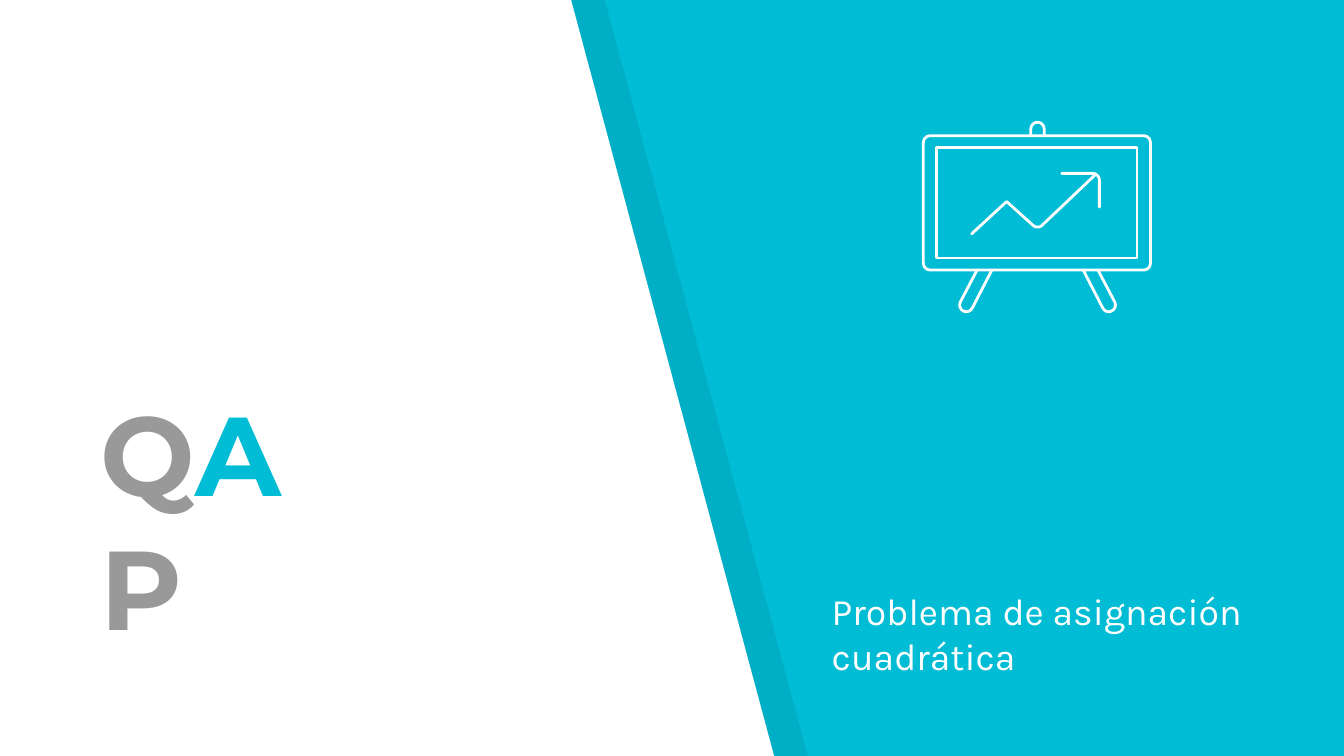
import math

import pptx
import pptx.dml.color
import pptx.enum.shapes
import pptx.enum.text
import pptx.oxml
import pptx.util

Inches = pptx.util.Inches
RGBColor = pptx.dml.color.RGBColor
SHAPE = pptx.enum.shapes.MSO_SHAPE
ANCHOR = pptx.enum.text.MSO_ANCHOR

CYAN = RGBColor(0x00, 0xBC, 0xD4)
WHITE = RGBColor(0xFF, 0xFF, 0xFF)
BLACK = RGBColor(0x00, 0x00, 0x00)
GREY = RGBColor(0x99, 0x99, 0x99)

WIDE = 10
HIGH = WIDE * 9 / 16
SLANT = 1.51
MID = 7.72  # centre line of the board
BEND = 0.05  # radius of every round corner


def assign(target, values):
    for name, value in values.items():
        setattr(target, name, value)


def add_node(parent, tag, **attrs):
    node = pptx.oxml.parse_xml(
        f'<a:{tag} xmlns:a="http://schemas.openxmlformats.org/drawingml/2006/main"/>'
    )
    for name, value in attrs.items():
        node.set(name, value)
    parent.append(node)


def arc(x, y, start, end, steps=8):
    """Points of a round corner about (x, y); angles in degrees, clockwise."""
    turns = [math.radians(start + (end - start) * i / steps) for i in range(steps + 1)]
    return [(x + BEND * math.cos(t), y + BEND * math.sin(t)) for t in turns]


def flip(points):
    return [(2 * MID - x, y) for x, y in points]


def draw_path(shapes, points, close=False):
    spots = [(Inches(x), Inches(y)) for x, y in points]
    pen = shapes.build_freeform(*spots[0], scale=1.0)
    pen.add_line_segments(spots[1:], close=close)
    shape = pen.convert_to_shape()
    shape.shadow.inherit = False
    return shape


def add_panel(slide, top, color, alpha=None):
    """Fill the slide from its left edge to a slanted right edge."""
    corners = [(0, 0), (0, HIGH), (top + SLANT, HIGH), (top, 0)]
    panel = draw_path(slide.shapes, corners, close=True)
    panel.line.fill.background()
    panel.fill.solid()
    panel.fill.fore_color.rgb = color
    if alpha is not None:
        tint = panel.fill._xPr.find(".//" + pptx.oxml.ns.qn("a:srgbClr"))
        add_node(tint, "alpha", val=str(alpha * 1000))


def outline(shape):
    shape.shadow.inherit = False
    shape.fill.background()
    shape.line.color.rgb = WHITE
    shape.line.width = pptx.util.Pt(1.5)
    stroke = shape.line._get_or_add_ln()
    stroke.set("cap", "rnd")
    add_node(stroke, "round")


def add_board(slide):
    group = slide.shapes.add_group_shape().shapes
    frame = group.add_shape(SHAPE.ROUNDED_RECTANGLE, *map(Inches, (6.87, 1.01, 1.69, 1)))
    frame.adjustments[0] = BEND
    outline(frame)
    outline(group.add_shape(SHAPE.RECTANGLE, *map(Inches, (6.97, 1.1, 1.49, 0.82))))

    clip = [(MID + BEND, 1.01), *arc(MID, 0.96, 0, -180), (MID - BEND, 1.01)]
    leg = [(7.27, 2.01), *arc(7.19, 2.27, 205, 25), (7.38, 2.01)]
    trend = [(8.15, 1.3), *arc(MID, 1.64, 45, 135), (7.49, 1.5), (7.23, 1.74)]
    tip = [(7.9, 1.29), *arc(8.13, 1.34, -90, 0), (8.18, 1.54)]
    for points in (clip, leg, flip(leg), trend, tip):
        outline(draw_path(group, points))


def add_text(slide, place, runs, style, anchor):
    frame = slide.shapes.add_textbox(*map(Inches, place)).text_frame
    inset = Inches(0.1)
    assign(frame, {
        "word_wrap": True,
        "vertical_anchor": anchor,
        "margin_left": inset,
        "margin_right": inset,
        "margin_top": inset,
        "margin_bottom": inset,
    })
    for words, color in runs:
        run = frame.paragraphs[0].add_run()
        run.text = words
        assign(run.font, style)
        run.font.color.rgb = color


def main():
    deck = pptx.Presentation()
    assign(deck, {"slide_width": Inches(WIDE), "slide_height": Inches(HIGH)})
    slide = deck.slides.add_slide(deck.slide_layouts[6])
    slide.background.fill.solid()
    slide.background.fill.fore_color.rgb = CYAN

    add_panel(slide, 4.5, BLACK, alpha=7)
    add_panel(slide, 4.25, WHITE)
    add_text(
        slide, (0.65, 3.84, 2.14, 1.12),
        [("Q", GREY), ("A", CYAN), ("P", GREY)],
        {"name": "Montserrat", "size": pptx.util.Pt(60), "bold": True},
        ANCHOR.BOTTOM,
    )
    add_board(slide)
    add_text(
        slide, (6.09, 4.28, 3.91, 0.68),
        [("Problema de asignación cuadrática", WHITE)],
        {"name": "Karla", "size": pptx.util.Pt(20)},
        ANCHOR.TOP,
    )
    deck.save("out.pptx")


if __name__ == "__main__":
    main()
